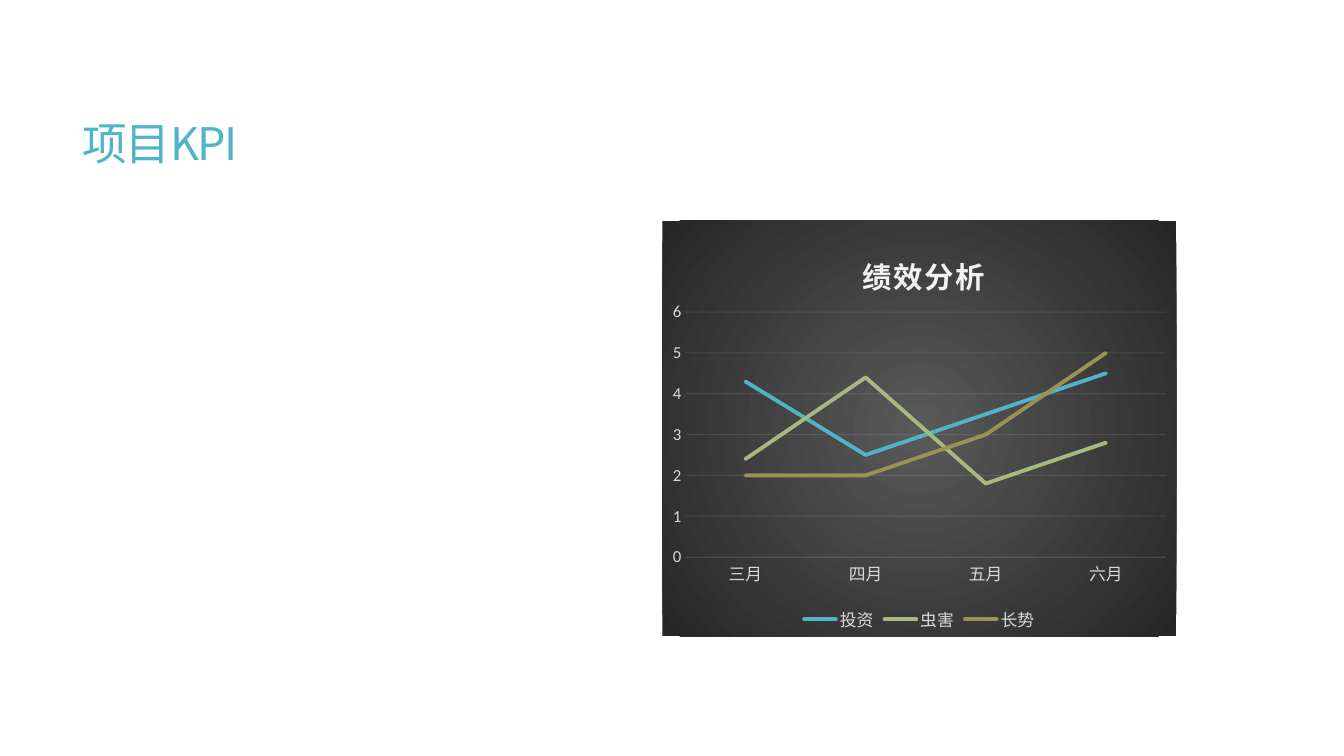
"""Build the project KPI slide with its performance line chart."""
from dataclasses import dataclass

from lxml import etree
from pptx import Presentation
from pptx.chart.data import CategoryChartData
from pptx.dml.color import RGBColor
from pptx.enum.chart import XL_CHART_TYPE, XL_LEGEND_POSITION, XL_TICK_MARK
from pptx.enum.text import MSO_ANCHOR
from pptx.oxml import parse_xml
from pptx.oxml.ns import nsdecls, qn
from pptx.util import Pt

LINE_CHART = XL_CHART_TYPE.LINE
LEGEND_BOTTOM = XL_LEGEND_POSITION.BOTTOM
NO_TICK = XL_TICK_MARK.NONE
MIDDLE = MSO_ANCHOR.MIDDLE

TITLE = "项目KPI"
CHART_TITLE = "绩效分析"
MONTHS = ["三月", "四月", "五月", "六月"]
SERIES = [
    ("投资", (4.3, 2.5, 3.5, 4.5), "50B4C8"),
    ("虫害", (2.4, 4.4, 1.8, 2.8), "A8B97F"),
    ("长势", (2, 2, 3, 5), "9B9256"),
]

SLIDE_SIZE = (960, 540)
TITLE_BOX = (51.84, 39.6, 848.16, 130.32)
CHART_BOX = (473.04, 157.68, 367.2, 296.64)
CHART_TITLE_PLACE = {"x": 0.38, "y": 0.06}
PLOT_PLACE = {"x": 0.045, "y": 0.22, "w": 0.935, "h": 0.59}


@dataclass(frozen=True)
class Theme:
    title_font: str = "Noto Sans CJK SC"
    chart_font: str = "Calibri"
    title_color: str = "50B4C8"
    label_color: str = "D9D9D9"
    light: str = "F2F2F2"
    center: str = "595959"
    edge: str = "262626"
    title_size: float = 32
    chart_title_size: float = 21
    label_size: float = 12
    series_width: float = 2.75
    rule_width: float = 0.75


THEME = Theme()


def style_font(font, name, size, color, bold=False):
    font.name = name
    font.size = Pt(size)
    font.bold = bold
    font.color.rgb = RGBColor.from_string(color)


def style_faint_line(line):
    line.width = Pt(THEME.rule_width)
    line.color.rgb = RGBColor.from_string(THEME.light)
    color = line._get_or_add_ln().find(".//" + qn("a:srgbClr"))
    etree.SubElement(color, qn("a:alpha"), val="10000")


def place(element, index, fractions):
    for old_layout in element.findall(qn("c:layout")):
        element.remove(old_layout)
    layout = etree.Element(qn("c:layout"))
    manual = etree.SubElement(layout, qn("c:manualLayout"))
    if "w" in fractions:
        etree.SubElement(manual, qn("c:layoutTarget"), val="inner")
    for side in ("x", "y"):
        etree.SubElement(manual, qn(f"c:{side}Mode"), val="edge")
    for side, fraction in fractions.items():
        etree.SubElement(manual, qn(f"c:{side}"), val=str(fraction))
    element.insert(index, layout)


def add_title(slide):
    box = slide.shapes.add_textbox(*map(Pt, TITLE_BOX))
    frame = box.text_frame
    frame.word_wrap = True
    frame.vertical_anchor = MIDDLE
    paragraph = frame.paragraphs[0]
    paragraph.line_spacing = 0.85
    run = paragraph.add_run()
    run.text = TITLE
    style_font(run.font, THEME.title_font, THEME.title_size, THEME.title_color)
    properties = run._r.get_or_add_rPr()
    properties.set("spc", "-120")
    etree.SubElement(properties, qn("a:ea"), typeface=THEME.title_font)


def fill_chart(chart):
    background = parse_xml(
        f'<c:spPr {nsdecls("c", "a")}><a:gradFill><a:gsLst>'
        f'<a:gs pos="0"><a:srgbClr val="{THEME.center}"/></a:gs>'
        f'<a:gs pos="100000"><a:srgbClr val="{THEME.edge}"/></a:gs></a:gsLst>'
        '<a:path path="circle"><a:fillToRect l="50000" t="50000" r="50000" b="50000"/>'
        "</a:path></a:gradFill><a:ln><a:noFill/></a:ln></c:spPr>"
    )
    chart._chartSpace.find(qn("c:chart")).addnext(background)


def add_chart_title(chart):
    chart.has_title = True
    title = chart.chart_title
    title.include_in_layout = False
    paragraph = title.text_frame.paragraphs[0]
    run = paragraph.add_run()
    run.text = CHART_TITLE
    style_font(run.font, THEME.chart_font, THEME.chart_title_size, THEME.light, True)
    run._r.get_or_add_rPr().set("spc", "100")
    place(title._element, 1, CHART_TITLE_PLACE)


def style_axes(chart):
    category_axis, value_axis = chart.category_axis, chart.value_axis
    for axis in (category_axis, value_axis):
        axis.major_tick_mark = axis.minor_tick_mark = NO_TICK
        style_font(axis.tick_labels.font, THEME.chart_font, THEME.label_size, THEME.label_color)
    style_faint_line(category_axis.format.line)
    value_axis.minimum_scale, value_axis.maximum_scale, value_axis.major_unit = 0, 6, 1
    value_axis.format.line.fill.background()
    value_axis.has_major_gridlines = True
    style_faint_line(value_axis.major_gridlines.format.line)


def add_kpi_chart(slide):
    data = CategoryChartData()
    data.categories = MONTHS
    for name, values, _ in SERIES:
        data.add_series(name, values)
    chart = slide.shapes.add_chart(LINE_CHART, *map(Pt, CHART_BOX), data).chart
    style_font(chart.font, THEME.chart_font, THEME.label_size, THEME.label_color)
    fill_chart(chart)
    add_chart_title(chart)
    style_axes(chart)
    plot = chart.plots[0]
    plot.vary_by_categories = False
    for series, (_, _, color) in zip(plot.series, SERIES):
        series.smooth = False
        line = series.format.line
        line.width = Pt(THEME.series_width)
        line.color.rgb = RGBColor.from_string(color)
        line._get_or_add_ln().set("cap", "rnd")
    chart.has_legend = True
    chart.legend.position = LEGEND_BOTTOM
    chart.legend.include_in_layout = False
    style_font(chart.legend.font, THEME.chart_font, THEME.label_size, THEME.label_color)
    place(chart._chartSpace.find(".//" + qn("c:plotArea")), 0, PLOT_PLACE)


def main():
    presentation = Presentation()
    presentation.slide_width, presentation.slide_height = map(Pt, SLIDE_SIZE)
    slide = presentation.slides.add_slide(presentation.slide_layouts[6])
    add_title(slide)
    add_kpi_chart(slide)
    presentation.save("out.pptx")


if __name__ == "__main__":
    main()
